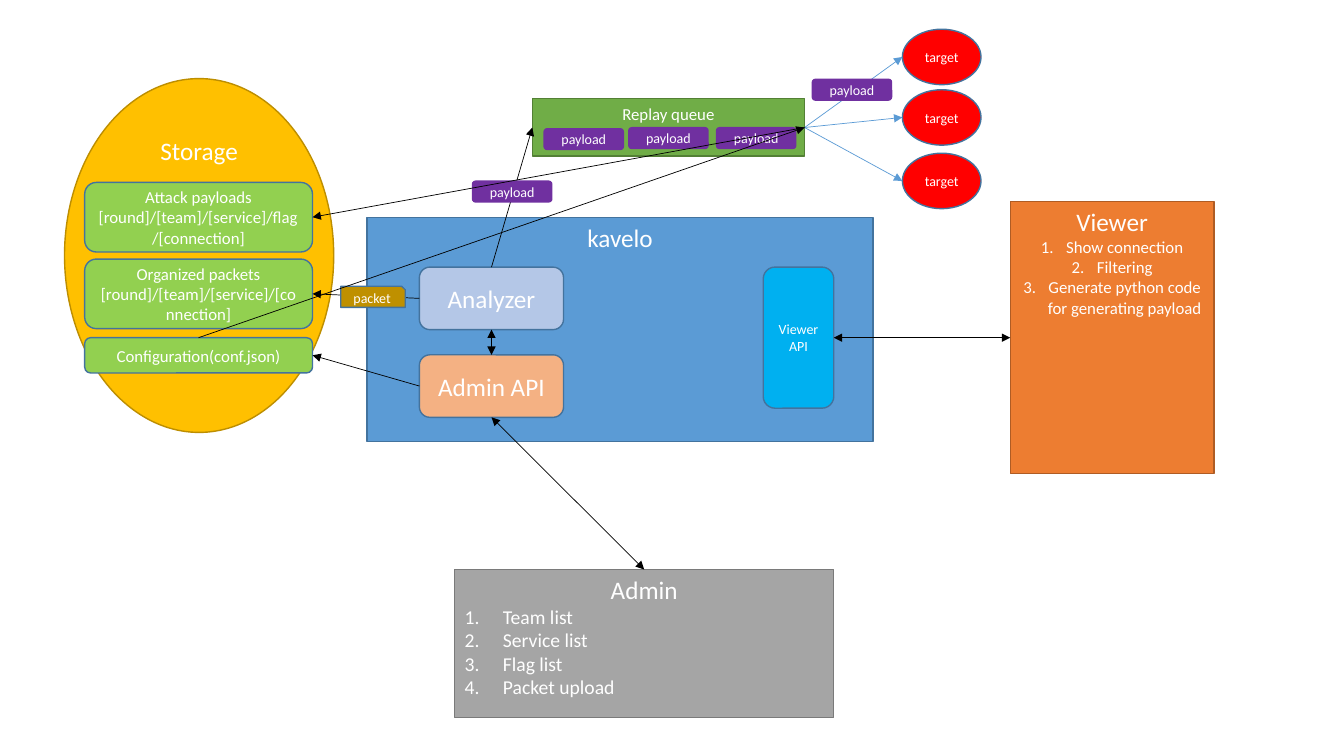
from dataclasses import dataclass
from typing import Optional

from lxml.etree import SubElement
from pptx import Presentation
from pptx.dml.color import RGBColor
from pptx.enum.shapes import MSO_CONNECTOR as Line, MSO_SHAPE as Form
from pptx.enum.text import MSO_ANCHOR as Anchor, PP_ALIGN as Align
from pptx.oxml.ns import qn
from pptx.util import Inches, Pt

FONT = "Calibri"
WHITE = RGBColor(0xFF, 0xFF, 0xFF)
BLACK = RGBColor(0, 0, 0)
BLUE = RGBColor(0x5B, 0x9B, 0xD5)
NAVY = RGBColor(0x43, 0x73, 0x9E)
ORANGE = RGBColor(0xED, 0x7D, 0x31)
RUST = RGBColor(0xAF, 0x5C, 0x24)
GRAY = RGBColor(0xA5, 0xA5, 0xA5)
SLATE = RGBColor(0x7A, 0x7A, 0x7A)
GOLD = RGBColor(0xFF, 0xC0, 0x00)
BRONZE = RGBColor(0xBD, 0x8E, 0x00)
GREEN = RGBColor(0x70, 0xAD, 0x47)
FOREST = RGBColor(0x53, 0x80, 0x35)
PURPLE = RGBColor(0x70, 0x30, 0xA0)
RED = RGBColor(0xFF, 0x00, 0x00)
LIME = RGBColor(0x92, 0xD0, 0x50)
PEACH = RGBColor(0xF4, 0xB1, 0x83)
PALE = RGBColor(0xB4, 0xC7, 0xE7)
CYAN = RGBColor(0x00, 0xB0, 0xF0)
OCHRE = RGBColor(0xBF, 0x90, 0x00)

TOP, LEFT, BOTTOM, RIGHT = range(4)


@dataclass
class Steps:
    lines: tuple[str, ...]
    size: float
    indent: float
    align: Align


@dataclass
class Box:
    key: str
    text: str
    form: Form
    left: float
    top: float
    width: float
    height: float
    fill: RGBColor
    edge: Optional[RGBColor] = NAVY
    size: float = 18
    anchor: Anchor = Anchor.MIDDLE
    steps: Optional[Steps] = None


@dataclass
class Link:
    start: str
    out: int
    end: str
    into: int
    both: bool = False


def pay(key: str, left: float, top: float) -> Box:
    return Box(key, "payload", Form.ROUNDED_RECTANGLE, left, top, 0.8, 0.22,
               PURPLE, None, 10)


def store(key: str, text: str, top: float, height: float) -> Box:
    return Box(key, text, Form.ROUNDED_RECTANGLE, 0.84, top, 2.26, height,
               LIME, size=12)


def draw_box(shapes, box: Box):
    shape = shapes.add_shape(box.form, Inches(box.left), Inches(box.top),
                             Inches(box.width), Inches(box.height))
    shape.shadow.inherit = False
    shape.fill.solid()
    shape.fill.fore_color.rgb = box.fill
    if box.edge is None:
        shape.line.fill.background()
    else:
        shape.line.color.rgb = box.edge
        shape.line.width = Pt(1)
    frame = shape.text_frame
    frame.word_wrap = True
    frame.vertical_anchor = box.anchor
    if box.form == Form.OVAL:
        frame.margin_left = frame.margin_right = Inches(0.05)
    steps = box.steps
    frame.text = "\n".join((box.text,) + (steps.lines if steps else ()))
    for row, para in enumerate(frame.paragraphs):
        listed = steps is not None and row > 0
        para.alignment = steps.align if listed else Align.CENTER
        font = para.runs[0].font
        font.name = FONT
        font.size = Pt(steps.size if listed else box.size)
        font.color.rgb = WHITE
        if listed:
            props = para._p.get_or_add_pPr()
            props.set("marL", str(Inches(steps.indent)))
            props.set("indent", str(-Inches(steps.indent)))
            SubElement(props, qn("a:buAutoNum"), type="arabicPeriod")
    return shape


def draw_line(shapes, color: RGBColor, both: bool = False):
    line = shapes.add_connector(Line.STRAIGHT, 0, 0, 0, 0)
    line.line.color.rgb = color
    line.line.width = Pt(0.5)
    pen = line.line._get_or_add_ln()
    for tag in ("a:headEnd", "a:tailEnd") if both else ("a:tailEnd",):
        SubElement(pen, qn(tag), type="triangle")
    SubElement(line._element.spPr, qn("a:effectLst"))
    return line


def draw_link(shapes, made: dict, link: Link) -> None:
    line = draw_line(shapes, BLACK, link.both)
    line.begin_connect(made[link.start], link.out)
    line.end_connect(made[link.end], link.into)


VIEWS = Steps(("Show connection", "Filtering",
               "Generate python code for generating payload"),
              12, 0.25, Align.CENTER)
TASKS = Steps(("Team list", "Service list", "Flag list", "Packet upload"),
              14, 0.38, Align.LEFT)
TARGETS = [Box(f"target{n}", "target", Form.OVAL, 8.95, top, 0.78, 0.55, RED,
               size=10) for n, top in enumerate((0.29, 0.89, 1.52))]
BOXES = [
    Box("system", "kavelo", Form.RECTANGLE, 3.64, 2.16, 5.02, 2.22, BLUE,
        anchor=Anchor.TOP),
    Box("viewer", "Viewer", Form.RECTANGLE, 10.02, 2, 2.02, 2.7, ORANGE, RUST,
        anchor=Anchor.TOP, steps=VIEWS),
    Box("admin", "Admin", Form.RECTANGLE, 4.51, 5.65, 3.76, 1.47, GRAY, SLATE,
        anchor=Anchor.TOP, steps=TASKS),
    Box("storage", "Storage", Form.OVAL, 0.64, 0.78, 2.67, 3.51, GOLD, BRONZE,
        anchor=Anchor.TOP),
    Box("queue", "Replay queue", Form.RECTANGLE, 5.28, 0.98, 2.7, 0.57, GREEN,
        FOREST, 12, Anchor.TOP),
    pay("first", 5.39, 1.27),
    pay("second", 6.23, 1.26),
    pay("third", 7.1, 1.26),
    *TARGETS,
    store("attack", "Attack payloads [round]/[team]/[service]/flag/[connection]",
          1.81, 0.69),
    store("packets", "Organized packets [round]/[team]/[service]/[connection]",
          2.57, 0.69),
    store("config", "Configuration(conf.json)", 3.35, 0.35),
    Box("analyzer", "Analyzer", Form.ROUNDED_RECTANGLE, 4.16, 2.65, 1.43, 0.62,
        PALE),
    Box("api", "Admin API", Form.ROUNDED_RECTANGLE, 4.16, 3.52, 1.43, 0.62,
        PEACH),
    Box("view api", "Viewer API", Form.ROUNDED_RECTANGLE, 7.57, 2.65, 0.7, 1.4,
        CYAN, size=10),
]
FLOWS = [
    Link("api", BOTTOM, "admin", TOP, True),
    Link("analyzer", BOTTOM, "api", TOP, True),
    Link("analyzer", TOP, "queue", LEFT),
    Link("analyzer", LEFT, "packets", RIGHT),
    Link("api", LEFT, "config", RIGHT),
    Link("view api", RIGHT, "viewer", LEFT, True),
]
TAGS = [
    pay("sent", 8.05, 0.78),
    pay("queued", 4.68, 1.79),
    Box("packet", "packet", Form.SNIP_1_RECTANGLE, 3.38, 2.84, 0.64, 0.21,
        OCHRE, size=10),
]
REPLAYS = [
    Link("config", TOP, "queue", RIGHT),
    Link("queue", RIGHT, "attack", RIGHT),
]


def main() -> None:
    deck = Presentation()
    deck.slide_width, deck.slide_height = Inches(13.33), Inches(7.5)
    shapes = deck.slides.add_slide(deck.slide_layouts[6]).shapes

    # Parts of the system
    made = {box.key: draw_box(shapes, box) for box in BOXES}

    # Shots from the queue to the targets
    for goal in TARGETS:
        line = draw_line(shapes, BLUE)
        line.begin_connect(made["queue"], RIGHT)
        line.end_x = Inches(goal.left)
        line.end_y = Inches(goal.top + goal.height / 2)

    # Flows, the tags lying on them, then the replay lines on top
    for link in FLOWS:
        draw_link(shapes, made, link)
    for tag in TAGS:
        draw_box(shapes, tag)
    for link in REPLAYS:
        draw_link(shapes, made, link)

    deck.save("out.pptx")


if __name__ == "__main__":
    main()
